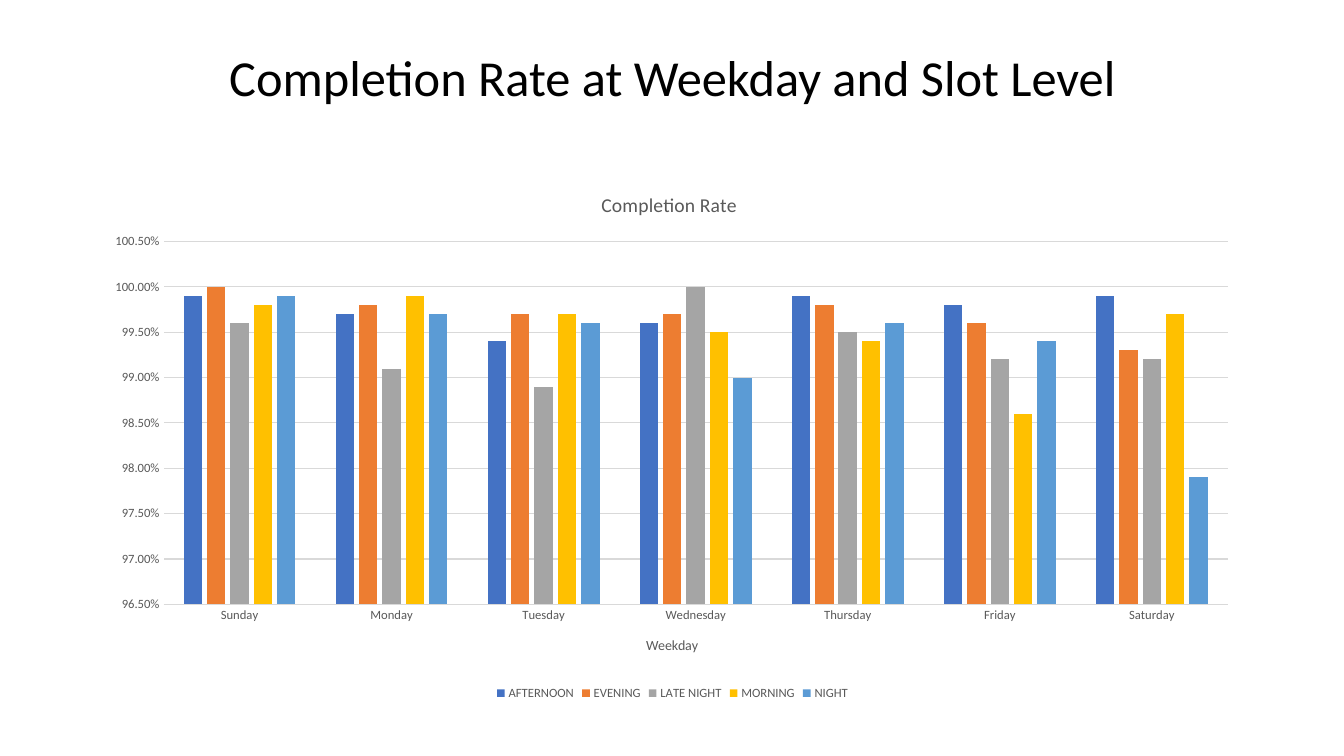
"""Build a slide charting completion rate by weekday and time slot."""
from dataclasses import dataclass

from lxml import etree
from pptx import Presentation, util as u
from pptx.chart.data import CategoryChartData
from pptx.dml.color import RGBColor
from pptx.enum import chart as ch, text
from pptx.oxml.ns import qn


@dataclass(frozen=True)
class Theme:
    font: str = "Calibri"
    ink: str = "000000"
    muted: str = "595959"
    grid: str = "D9D9D9"
    heading: float = 36
    caption: float = 14
    axis_name: float = 10
    label: float = 9
    rule: float = 0.75


theme = Theme()


def style(font, size, color):
    font.name, font.size, font.bold = theme.font, u.Pt(size), False
    font.color.rgb = RGBColor.from_string(color)


def place(element, index, **percents):
    for old in element.findall(qn("c:layout")):
        element.remove(old)
    layout = etree.Element(qn("c:layout"))
    manual = etree.SubElement(layout, qn("c:manualLayout"))
    if "w" in percents:
        etree.SubElement(manual, qn("c:layoutTarget")).set("val", "inner")
    for side in "xy":
        etree.SubElement(manual, qn(f"c:{side}Mode")).set("val", "edge")
    for side, percent in percents.items():
        etree.SubElement(manual, qn(f"c:{side}")).set("val", str(percent / 100))
    element.insert(index, layout)


weekdays = ["Sunday", "Monday", "Tuesday", "Wednesday", "Thursday", "Friday", "Saturday"]
slots = {
    "AFTERNOON": ("4472C4", [0.999, 0.997, 0.994, 0.996, 0.999, 0.998, 0.999]),
    "EVENING": ("ED7D31", [1, 0.998, 0.997, 0.997, 0.998, 0.996, 0.993]),
    "LATE NIGHT": ("A5A5A5", [0.996, 0.991, 0.989, 1, 0.995, 0.992, 0.992]),
    "MORNING": ("FFC000", [0.998, 0.999, 0.997, 0.995, 0.994, 0.986, 0.997]),
    "NIGHT": ("5B9BD5", [0.999, 0.997, 0.996, 0.99, 0.996, 0.994, 0.979]),
}

deck = Presentation()
deck.slide_width, deck.slide_height = u.Inches(13.33), u.Inches(7.5)
slide = deck.slides.add_slide(deck.slide_layouts[5])
margin = u.Inches(0.92)
content_width = u.Inches(11.5)

heading = slide.shapes.title
heading.left, heading.top = margin, u.Inches(0.4)
heading.width, heading.height = content_width, u.Inches(0.79)
heading.text_frame.vertical_anchor = text.MSO_ANCHOR.MIDDLE
heading_line = heading.text_frame.paragraphs[0]
heading_line.alignment = text.PP_ALIGN.CENTER
heading_line.line_spacing = 0.9
heading_run = heading_line.add_run()
heading_run.text = "Completion Rate at Weekday and Slot Level"
style(heading_run.font, theme.heading, theme.ink)

rates = CategoryChartData(number_format="0.00%")
rates.categories = weekdays
for slot, (color, shares) in slots.items():
    rates.add_series(slot, shares)
chart = slide.shapes.add_chart(
    ch.XL_CHART_TYPE.COLUMN_CLUSTERED, margin, u.Inches(1.71),
    content_width, u.Inches(5.28), rates).chart
style(chart.font, theme.axis_name, theme.ink)

columns = chart.plots[0]
columns.gap_width, columns.overlap = 219, -27
columns.vary_by_categories = False
for series, (color, shares) in zip(columns.series, slots.values()):
    series.format.fill.solid()
    series.format.fill.fore_color.rgb = RGBColor.from_string(color)

weekday_axis, rate_axis = chart.category_axis, chart.value_axis
for axis in (weekday_axis, rate_axis):
    axis.major_tick_mark = axis.minor_tick_mark = ch.XL_TICK_MARK.NONE
    style(axis.tick_labels.font, theme.label, theme.muted)
rate_axis.minimum_scale, rate_axis.maximum_scale = 0.965, 1.005
rate_axis.major_unit = 0.005
rate_axis.tick_labels.number_format = "0.00%"
rate_axis.tick_labels.number_format_is_linked = False
rate_axis.format.line.fill.background()
rate_axis.has_major_gridlines = True
for rule in (weekday_axis.format.line, rate_axis.major_gridlines.format.line):
    rule.width = u.Pt(theme.rule)
    rule.color.rgb = RGBColor.from_string(theme.grid)

for caption, words, size, x, y in (
        (chart.chart_title, "Completion Rate", theme.caption, 43.55, 2.9),
        (weekday_axis.axis_title, "Weekday", theme.axis_name, 47.5, 86.7)):
    caption_run = caption.text_frame.paragraphs[0].add_run()
    caption_run.text = words
    style(caption_run.font, size, theme.muted)
    place(caption._element, 1, x=x, y=y)
place(chart._chartSpace.chart.plotArea, 0, x=6.1, y=13, w=91.8, h=68.2)

chart.has_legend = True
chart.legend.position = ch.XL_LEGEND_POSITION.BOTTOM
chart.legend.include_in_layout = False
style(chart.legend.font, theme.label, theme.muted)

deck.save("out.pptx")
